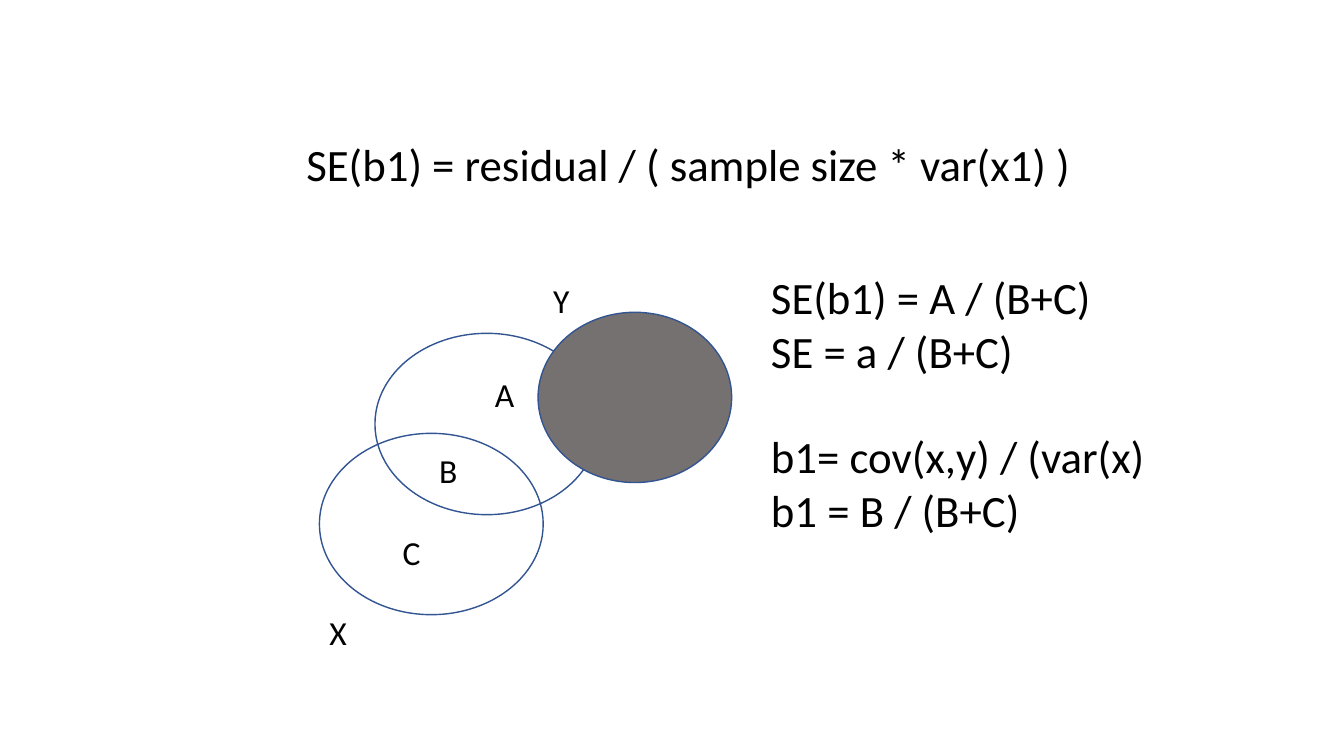
from pptx import Presentation
from pptx import util as u
from pptx.dml import color
from pptx.enum import shapes, text

BLACK, OUTLINE, GREY = "000000", "325491", "767171"


def rgb(hex_code):
    """Turn a hex string into a colour."""
    return color.RGBColor.from_string(hex_code)


def add_words(slide, box, words, size):
    """Write unwrapped text in a box given as left, top, width, height in cm."""
    frame = slide.shapes.add_textbox(*map(u.Cm, box)).text_frame
    frame.text = words
    frame.word_wrap = False
    frame.auto_size = text.MSO_AUTO_SIZE.SHAPE_TO_FIT_TEXT
    for paragraph in frame.paragraphs:
        for run in paragraph.runs:
            run.font.name = "Calibri"
            run.font.size = u.Pt(size)
            run.font.color.rgb = rgb(BLACK)


def add_circle(slide, box, fill=None):
    """Draw one outlined variance circle, hollow unless a fill is given."""
    circle = slide.shapes.add_shape(shapes.MSO_SHAPE.OVAL, *map(u.Cm, box))
    circle.shadow.inherit = False
    circle.line.color.rgb = rgb(OUTLINE)
    circle.line.width = u.Pt(1)
    if fill:
        circle.fill.solid()
        circle.fill.fore_color.rgb = rgb(fill)
    else:
        circle.fill.background()


def add_venn(slide, left, top):
    """Place the overlapping circles and their letters from a corner."""
    variable_size, covariate_size = (5.64, 4.57), (4.88, 4.29)
    circles = [
        (1.4, 1.47, variable_size, None),
        (0, 3.99, variable_size, None),
        (5.51, 0.94, covariate_size, GREY),
    ]
    for x, y, size, fill in circles:
        add_circle(slide, (left + x, top + y, *size), fill)

    letters = {
        "X": (0, 8.36),
        "Y": (5.64, 0),
        "C": (1.85, 6.35),
        "B": (2.77, 4.29),
        "A": (4.17, 2.36),
    }
    for letter, (x, y) in letters.items():
        add_words(slide, (left + x, top + y, 0.98, 1.27), letter, 24)


def add_equations(slide, left, top, pitch):
    """Stack the equation pairs at an equal pitch."""
    pairs = [
        ("SE(b1) = A / (B+C)\nSE = a / (B+C)", 8.66),
        ("b1= cov(x,y) / (var(x)\nb1 = B / (B+C)", 10.03),
    ]
    for row, (equations, width) in enumerate(pairs):
        add_words(slide, (left, top + row * pitch, width, 3), equations, 32)


def build():
    """Build the standard error slide and save it."""
    deck = Presentation()
    deck.slide_width, deck.slide_height = u.Cm(33.87), u.Cm(19.05)
    slide = deck.slides.add_slide(deck.slide_layouts[6])
    formula = "SE(b1) = residual / ( sample size * var(x1) )"
    add_words(slide, (7.47, 3.33, 19.99, 1.63), formula, 32)
    add_venn(slide, 8.05, 6.93)
    add_equations(slide, 19.18, 6.68, 4.01)
    deck.save("out.pptx")


build()
